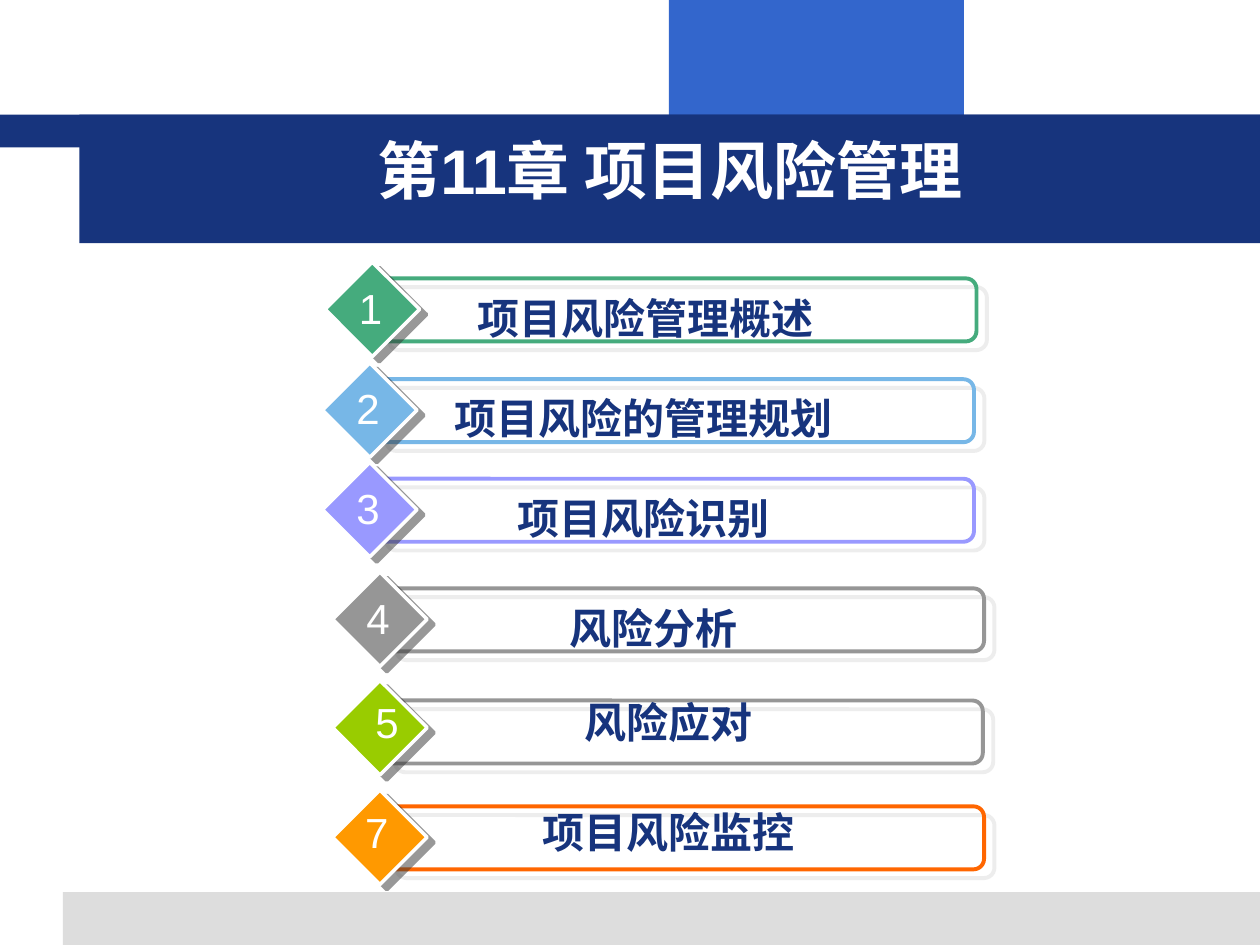
"""Builds the chapter contents slide on project risk management."""
import lxml.etree
import pptx
import pptx.dml.color
import pptx.enum.shapes
import pptx.enum.text
import pptx.oxml.ns
import pptx.util

Inches = pptx.util.Inches
RGBColor = pptx.dml.color.RGBColor
Shape = pptx.enum.shapes.MSO_SHAPE

NAVY = RGBColor(0x17, 0x34, 0x7D)
BLUE = RGBColor(0x33, 0x66, 0xCC)
WHITE = RGBColor(0xFF, 0xFF, 0xFF)
SILVER = RGBColor(0xDD, 0xDD, 0xDD)
CHARCOAL = RGBColor(0x33, 0x33, 0x33)
GREEN = RGBColor(0x45, 0xAB, 0x7D)
SKY = RGBColor(0x77, 0xB7, 0xE7)
LILAC = RGBColor(0x99, 0x99, 0xFF)
GREY = RGBColor(0x96, 0x96, 0x96)
LIME = RGBColor(0x99, 0xCC, 0x00)
AMBER = RGBColor(0xFF, 0x99, 0x00)
ORANGE = RGBColor(0xFF, 0x66, 0x00)

BANDS = [
    (5.31, 0, 2.34, 0.92, BLUE),
    (0.5, 7.08, 9.5, 0.42, SILVER),
    (0, 0.91, 10, 0.26, NAVY),
    (0.63, 0.91, 9.37, 1.02, NAVY),
]

BAR, LABEL, NUMBER = (0.42, 0.13), (0.67, 0.19), (0.17, 0.11)
TOPICS = [
    ("1", "项目风险管理概述", GREEN, GREEN, (2.58, 2.08), BAR, LABEL, NUMBER),
    ("2", "项目风险的管理规划", SKY, SKY, (2.56, 2.88), BAR, LABEL, NUMBER),
    ("3", "项目风险识别", LILAC, LILAC, (2.56, 3.67), BAR, LABEL, NUMBER),
    ("4", "风险分析", GREY, GREY, (2.64, 4.54), BAR, LABEL, NUMBER),
    ("5", "风险应对", LIME, GREY, (2.64, 5.4), (0.41, 0.16), (0.79, 0.08), (0.24, 0.08)),
    ("7", "项目风险监控", AMBER, ORANGE, (2.64, 6.27), BAR, (0.79, 0.08), (0.16, 0.08)),
]


def write(frame, text, size=24, color=WHITE, bold=False, wrap=True, font="Arial"):
    """Fill a text frame with one centred paragraph."""
    frame.word_wrap = wrap
    frame.auto_size = pptx.enum.text.MSO_AUTO_SIZE.SHAPE_TO_FIT_TEXT
    frame.vertical_anchor = pptx.enum.text.MSO_ANCHOR.TOP
    paragraph = frame.paragraphs[0]
    paragraph.alignment = pptx.enum.text.PP_ALIGN.CENTER
    run = paragraph.add_run()
    run.text = text
    run.font.name = font
    run.font.size = pptx.util.Pt(size)
    run.font.bold = bold
    run.font.color.rgb = color


class ContentsSlide:
    """Holds the current slide and draws its kinds of element."""

    def __init__(self, slide):
        self.slide = slide

    def shape(self, parent, kind, left, top, width, height, fill=None, line=None, weight=2):
        """Draw a preset shape without a shadow."""
        drawn = parent.add_shape(kind, Inches(left), Inches(top), Inches(width), Inches(height))
        drawn.shadow.inherit = False
        if fill is None:
            drawn.fill.background()
        else:
            drawn.fill.solid()
            drawn.fill.fore_color.rgb = fill
        if line is None:
            drawn.line.fill.background()
        else:
            drawn.line.color.rgb = line
            drawn.line.width = pptx.util.Pt(weight)
        return drawn

    def cast_shadow(self, drawn, color, distance, angle):
        """Give a shape a hard, half-transparent shadow."""
        qn = pptx.oxml.ns.qn
        effects = drawn.element.spPr.find(qn("a:effectLst"))
        shadow = lxml.etree.SubElement(
            effects, qn("a:outerShdw"), blurRad="0", dist=str(pptx.util.Pt(distance)),
            dir=str(angle * 60000), algn="ctr", rotWithShape="0")
        tint = lxml.etree.SubElement(shadow, qn("a:srgbClr"), val=str(color))
        lxml.etree.SubElement(tint, qn("a:alpha"), val="50000")

    def text(self, parent, text, left, top, width, **style):
        """Add a one-line text box."""
        box = parent.add_textbox(Inches(left), Inches(top), Inches(width), Inches(0.5))
        write(box.text_frame, text, **style)

    def title(self, text):
        """Put the title placeholder over the navy band."""
        heading = self.slide.shapes.title
        heading.left, heading.top = Inches(1.77), Inches(0.99)
        heading.width, heading.height = Inches(7.09), Inches(0.7)
        write(heading.text_frame, text, size=36, bold=True)
        heading.element.getparent().append(heading.element)

    def topic(self, number, label, fill, outline, origin, bar_shift, label_shift, number_shift):
        """Draw a numbered diamond with its outlined bar and label."""
        row = self.slide.shapes.add_group_shape().shapes

        def place(shift):
            return origin[0] + shift[0], origin[1] + shift[1]

        bar = self.shape(row, Shape.ROUNDED_RECTANGLE, *place(bar_shift), 4.75, 0.5,
                         line=outline, weight=2.25)
        self.cast_shadow(bar, SILVER, 7.8, 40)
        diamond = self.shape(row, Shape.DIAMOND, *origin, 0.75, 0.75, fill=fill, line=WHITE)
        self.cast_shadow(diamond, CHARCOAL, 5, 37)
        self.text(row, label, *place(label_shift), 3.75, color=NAVY, bold=True)
        self.text(row, number, *place(number_shift), 0.38, wrap=False)


def main():
    """Build and save the deck."""
    deck = pptx.Presentation()
    deck.slide_width, deck.slide_height = Inches(10), Inches(7.5)
    contents = ContentsSlide(deck.slides.add_slide(deck.slide_layouts[5]))
    for left, top, width, height, color in BANDS:
        contents.shape(contents.slide.shapes, Shape.RECTANGLE, left, top, width, height, fill=color)
    contents.title("第11章 项目风险管理")
    for topic in TOPICS:
        contents.topic(*topic)
    deck.save("out.pptx")


if __name__ == "__main__":
    main()
